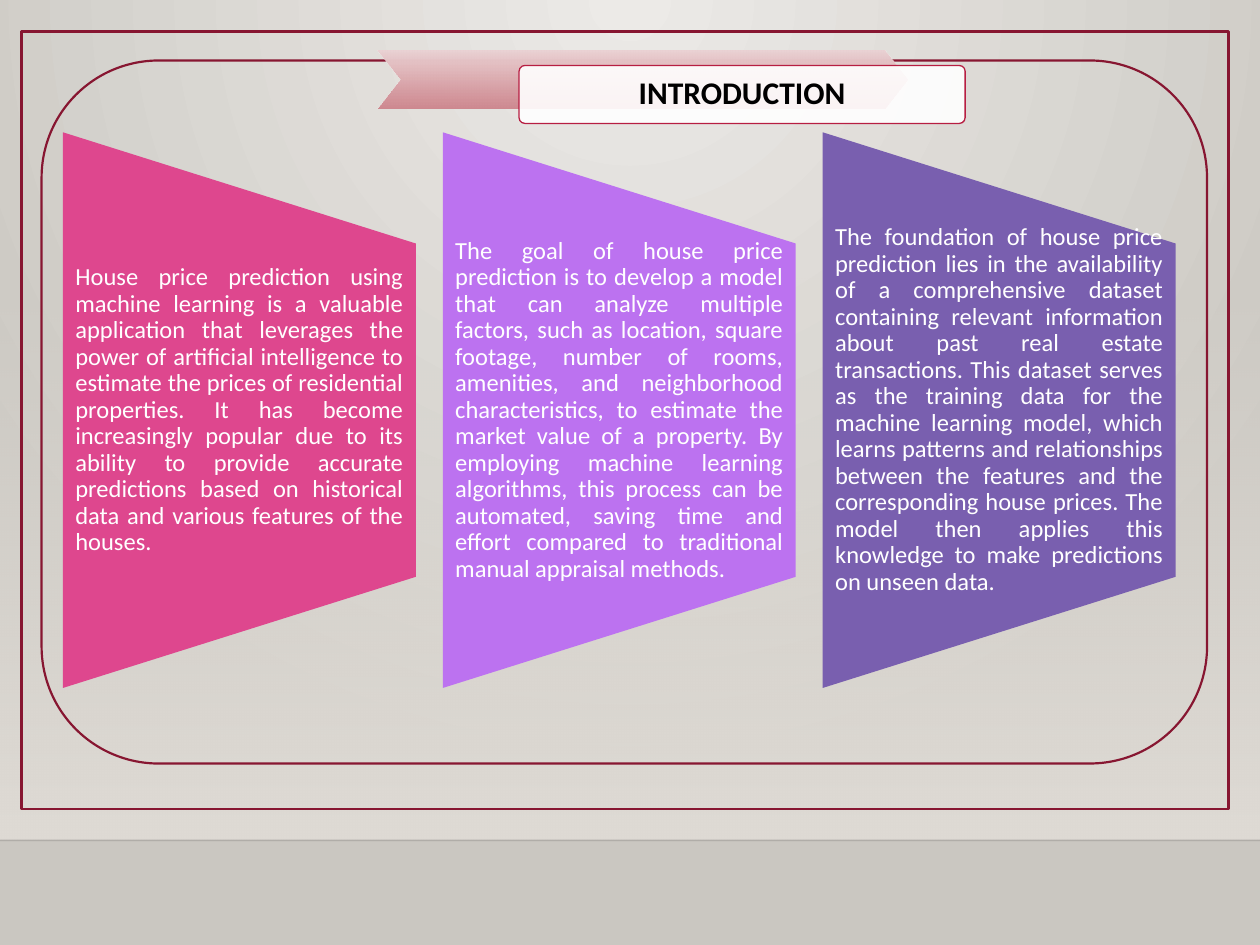
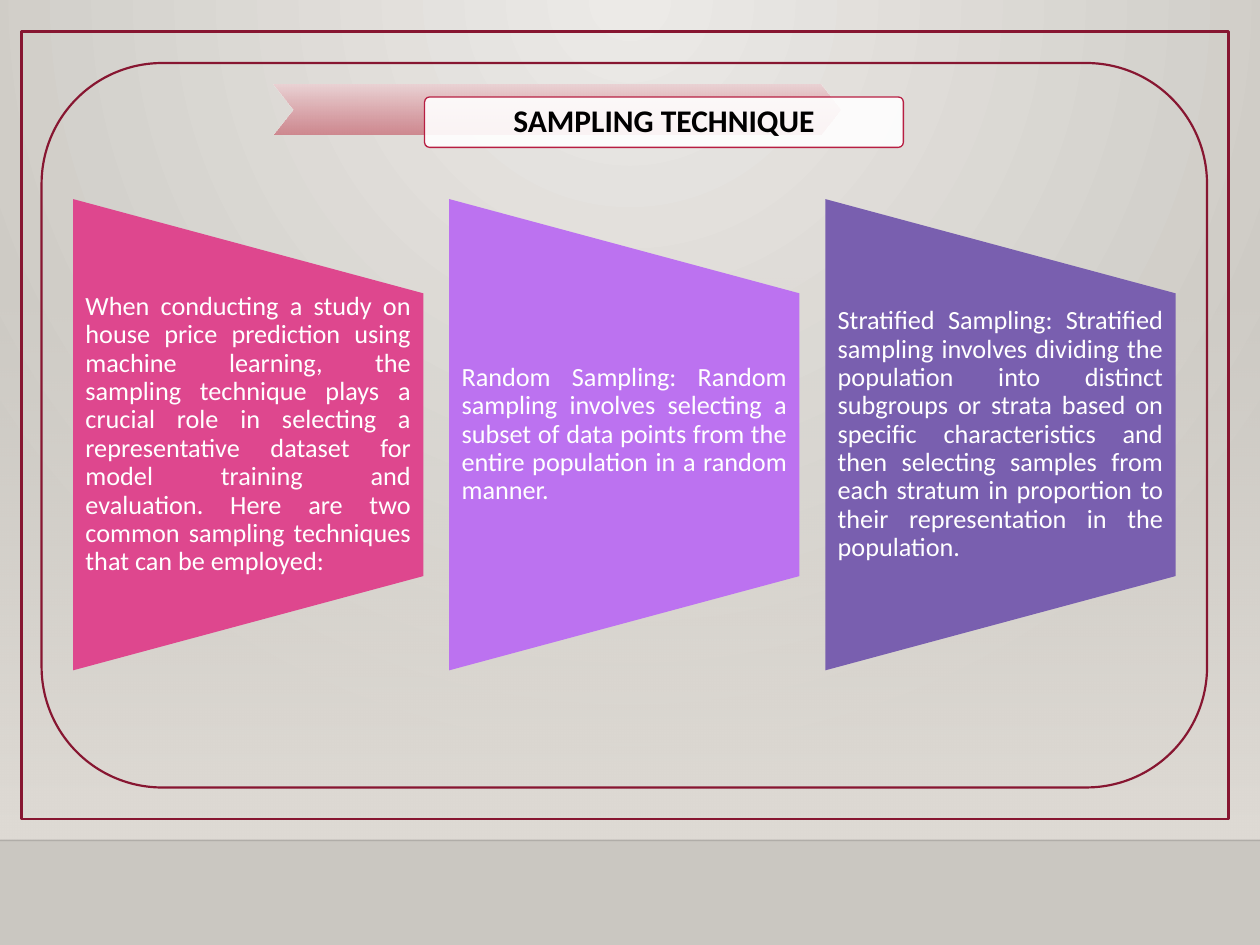
"""Build two slides of a house price prediction deck."""
from dataclasses import dataclass

from lxml import etree
from pptx import Presentation
from pptx.dml.color import RGBColor
from pptx.enum.shapes import MSO_CONNECTOR, MSO_SHAPE
from pptx.enum.text import MSO_ANCHOR, MSO_AUTO_SIZE, PP_ALIGN
from pptx.oxml import parse_xml
from pptx.oxml.ns import nsdecls, qn
from pptx.util import Inches, Pt

RECTANGLE = MSO_SHAPE.RECTANGLE
ROUNDED = MSO_SHAPE.ROUNDED_RECTANGLE
CHEVRON = MSO_SHAPE.CHEVRON
TRAPEZOID = MSO_SHAPE.FLOWCHART_MANUAL_OPERATION
STRAIGHT = MSO_CONNECTOR.STRAIGHT
MIDDLE = MSO_ANCHOR.MIDDLE
NO_FIT = MSO_AUTO_SIZE.NONE
CENTER = PP_ALIGN.CENTER
JUSTIFY = PP_ALIGN.JUSTIFY

BLACK = RGBColor(0x00, 0x00, 0x00)
WHITE = RGBColor(0xFF, 0xFF, 0xFF)
BURGUNDY = RGBColor(0x87, 0x16, 0x31)
CRIMSON = RGBColor(0xB7, 0x1E, 0x42)
PALE_ROSE = RGBColor(0xEA, 0xD1, 0xD3)
ROSE = RGBColor(0xCD, 0x82, 0x8A)
LIGHT_STONE = RGBColor(0xEC, 0xEA, 0xE7)
STONE = RGBColor(0xDF, 0xDB, 0xD5)
DARK_STONE = RGBColor(0xCA, 0xC7, 0xC1)
CARD_COLORS = (
    RGBColor(0xDE, 0x47, 0x8E),
    RGBColor(0xBC, 0x72, 0xF0),
    RGBColor(0x79, 0x5F, 0xAF),
)

FONT = "Calibri"
TITLE_FONT = {"name": FONT, "size": Pt(18), "bold": True, "color": BLACK}
DOWNWARD = '<a:lin ang="5400000" scaled="0"/>'
FROM_TOP = '<a:path path="circle"><a:fillToRect l="43000" t="0" r="43000" b="100000"/></a:path>'
FLOOR = 6.67
CARDS_RIGHT = 9.33
TEXT_SHARE = 0.6


@dataclass(frozen=True)
class Box:
    """A rectangle in inches."""

    left: float
    top: float
    width: float
    height: float

    def lengths(self) -> list:
        """Return the four measures as lengths."""
        return [Inches(value) for value in (self.left, self.top, self.width, self.height)]

    def inset(self, gap: float) -> "Box":
        """Return the box shrunk by a gap on every side."""
        return Box(self.left + gap, self.top + gap, self.width - 2 * gap, self.height - 2 * gap)


@dataclass(frozen=True)
class Stop:
    """One gradient stop, with position and opacity in percent."""

    position: int
    color: RGBColor
    opacity: int = 100


@dataclass(frozen=True)
class Topic:
    """The contents and measures of one slide."""

    title: str
    frame: Box
    panel: Box
    ribbon: Box
    label: Box
    first_card: Box
    text_size: int
    texts: tuple[str, ...]


TOPICS = (
    Topic(
        "INTRODUCTION",
        Box(0.17, 0.25, 9.58, 6.17),
        Box(0.33, 0.48, 9.25, 5.58),
        Box(3, 0.4, 4.2, 0.46),
        Box(4.12, 0.52, 3.54, 0.46),
        Box(0.5, 1.05, 2.8, 4.41),
        14,
        (
            "House price prediction using machine learning is a valuable application that "
            "leverages the power of artificial intelligence to estimate the prices of "
            "residential properties. It has become increasingly popular due to its ability to "
            "provide accurate predictions based on historical data and various features of "
            "the houses.",
            "The goal of house price prediction is to develop a model that can analyze "
            "multiple factors, such as location, square footage, number of rooms, amenities, "
            "and neighborhood characteristics, to estimate the market value of a property. By "
            "employing machine learning algorithms, this process can be automated, saving "
            "time and effort compared to traditional manual appraisal methods.",
            "The foundation of house price prediction lies in the availability of a "
            "comprehensive dataset containing relevant information about past real estate "
            "transactions. This dataset serves as the training data for the machine learning "
            "model, which learns patterns and relationships between the features and the "
            "corresponding house prices. The model then applies this knowledge to make "
            "predictions on unseen data.",
        ),
    ),
    Topic(
        "SAMPLING TECHNIQUE",
        Box(0.17, 0.25, 9.58, 6.25),
        Box(0.33, 0.5, 9.25, 5.75),
        Box(2.17, 0.67, 4.5, 0.4),
        Box(3.37, 0.77, 3.8, 0.4),
        Box(0.58, 1.58, 2.78, 3.74),
        15,
        (
            "When conducting a study on house price prediction using machine learning, the "
            "sampling technique plays a crucial role in selecting a representative dataset "
            "for model training and evaluation. Here are two common sampling techniques that "
            "can be employed:",
            "Random Sampling: Random sampling involves selecting a subset of data points from "
            "the entire population in a random manner.",
            "Stratified Sampling: Stratified sampling involves dividing the population into "
            "distinct subgroups or strata based on specific characteristics and then "
            "selecting samples from each stratum in proportion to their representation in "
            "the population.",
        ),
    ),
)


def set_opacity(element, percent: int) -> None:
    """Make the first colour inside an element partly transparent."""
    color = next(element.iter(qn("a:srgbClr")))
    etree.SubElement(color, qn("a:alpha"), val=str(percent * 1000))


def set_gradient(parent, stops: tuple[Stop, ...], direction: str) -> None:
    """Replace the solid fill of a properties element with a gradient."""
    marks = "".join(
        f'<a:gs pos="{stop.position * 1000}"><a:srgbClr val="{stop.color}">'
        f'<a:alpha val="{stop.opacity * 1000}"/></a:srgbClr></a:gs>'
        for stop in stops
    )
    gradient = parse_xml(
        f'<a:gradFill {nsdecls("a")} rotWithShape="1"><a:gsLst>{marks}</a:gsLst>{direction}</a:gradFill>'
    )
    parent.replace(parent.find(qn("a:solidFill")), gradient)


def add_figure(page, kind, box: Box, fill=None, line=None, weight: float = 1.25):
    """Draw a preset shape without shadow."""
    figure = page.shapes.add_shape(kind, *box.lengths())
    figure.shadow.inherit = False
    if fill is None:
        figure.fill.background()
    else:
        figure.fill.solid()
        figure.fill.fore_color.rgb = fill
    if line is None:
        figure.line.fill.background()
    else:
        figure.line.color.rgb = line
        figure.line.width = Pt(weight)
    return figure


def write_text(box, text: str, alignment, font: dict, margins: tuple[float, float]) -> None:
    """Write one formatted paragraph into a shape."""
    frame = box.text_frame
    side, end = map(Inches, margins)
    frame_format = {
        "text": text, "word_wrap": True, "auto_size": NO_FIT, "vertical_anchor": MIDDLE,
        "margin_left": side, "margin_right": side, "margin_top": end, "margin_bottom": end,
    }
    for name, value in frame_format.items():
        setattr(frame, name, value)
    para = frame.paragraphs[0]
    para.alignment = alignment
    para.line_spacing = 0.9
    span = para.runs[0]
    for name, value in font.items():
        if name == "color":
            span.font.color.rgb = value
        else:
            setattr(span.font, name, value)


def set_background(deck) -> None:
    """Give the master a radial stone background."""
    master = deck.slide_master
    master.background.fill.solid()
    master.background.fill.fore_color.rgb = DARK_STONE
    properties = next(master.element.iter(qn("p:bgPr")))
    set_gradient(properties, (Stop(0, LIGHT_STONE), Stop(100, DARK_STONE)), FROM_TOP)


def add_wall(page) -> None:
    """Draw the fading wall and the floor line."""
    wall = add_figure(page, RECTANGLE, Box(0, 2.2, 10, FLOOR - 2.2), STONE)
    set_gradient(wall.element.spPr, (Stop(0, STONE, 0), Stop(100, STONE)), DOWNWARD)
    edge = page.shapes.add_connector(STRAIGHT, 0, Inches(FLOOR), Inches(10), Inches(FLOOR))
    edge.line.color.rgb = BLACK
    edge.line.width = Pt(1)
    set_opacity(edge.element.spPr, 20)
    etree.SubElement(edge.element.spPr, qn("a:effectLst"))


def add_title(page, topic: Topic) -> None:
    """Draw the ribbon and label, and set the title on them."""
    ribbon = add_figure(page, CHEVRON, topic.ribbon, ROSE)
    ribbon.adjustments[0] = 0.4
    set_gradient(ribbon.element.spPr, (Stop(0, PALE_ROSE), Stop(100, ROSE, 92)), DOWNWARD)
    label = add_figure(page, ROUNDED, topic.label, WHITE, CRIMSON, 0.75)
    label.adjustments[0] = 0.1
    set_opacity(label.element.spPr, 90)
    title = page.shapes.title
    title.left, title.top, title.width, title.height = topic.label.inset(0.01).lengths()
    write_text(title, topic.title, CENTER, TITLE_FONT, (0.14, 0.14))
    page.shapes.element.append(title.element)


def add_card(page, box: Box, fill: RGBColor, text: str, size: int) -> None:
    """Draw a trapezoid turned on its side with text over it."""
    shift = (box.width - box.height) / 2
    turned = Box(box.left + shift, box.top - shift, box.height, box.width)
    card = add_figure(page, TRAPEZOID, turned, fill)
    card.rotation = 270
    text_height = box.height * TEXT_SHARE
    text_top = box.top + (box.height - text_height) / 2
    caption = page.shapes.add_textbox(*Box(box.left, text_top, box.width, text_height).lengths())
    font = {"name": FONT, "size": Pt(size), "color": WHITE}
    write_text(caption, text, JUSTIFY, font, (0.1, 0))


def add_page(deck, topic: Topic) -> None:
    """Build one slide from its topic."""
    page = deck.slides.add_slide(deck.slide_layouts.get_by_name("Title Only"))
    add_wall(page)
    add_figure(page, RECTANGLE, topic.frame, line=BURGUNDY)
    add_figure(page, ROUNDED, topic.panel, line=BURGUNDY)
    add_title(page, topic)
    first = topic.first_card
    pitch = (CARDS_RIGHT - first.width - first.left) / (len(topic.texts) - 1)
    for index, (text, fill) in enumerate(zip(topic.texts, CARD_COLORS)):
        box = Box(first.left + index * pitch, first.top, first.width, first.height)
        add_card(page, box, fill, text, topic.text_size)


def main() -> None:
    """Build and save the deck."""
    deck = Presentation()
    deck.slide_width, deck.slide_height = Inches(10), Inches(7.5)
    set_background(deck)
    for topic in TOPICS:
        add_page(deck, topic)
    deck.save("out.pptx")


if __name__ == "__main__":
    main()
